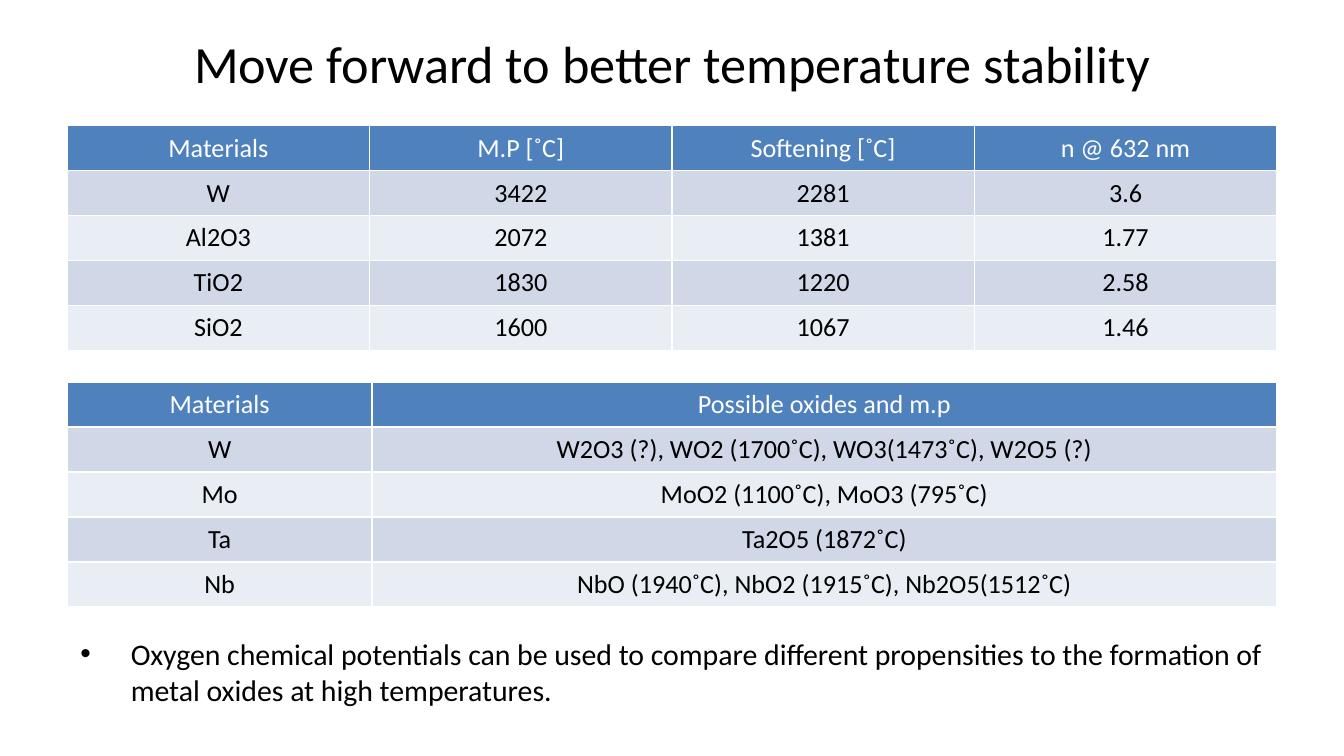
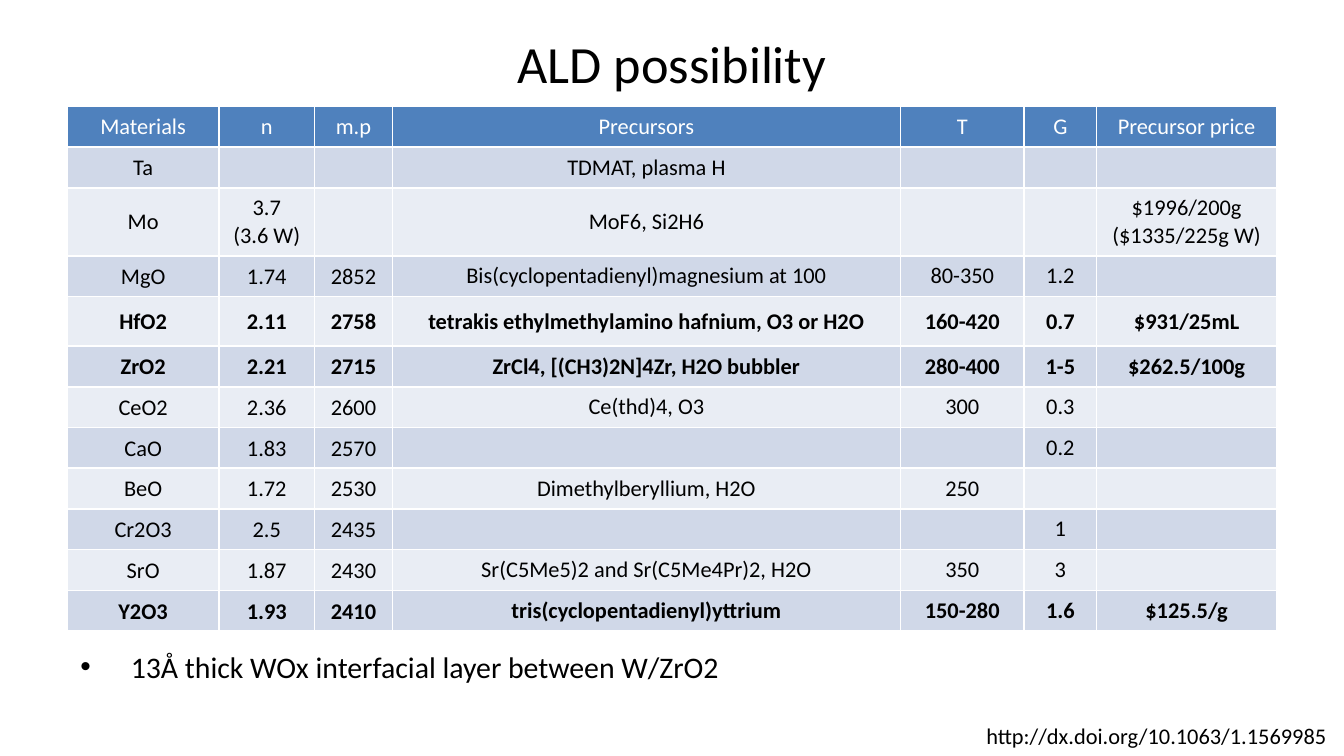
from pptx import Presentation
from pptx.dml.color import RGBColor as RGB
from pptx.enum.text import MSO_ANCHOR as Anchor, MSO_AUTO_SIZE as AutoSize, PP_ALIGN as Align
from pptx.oxml import parse_xml
from pptx.oxml.ns import nsdecls
from pptx.util import Pt

COLORS = {"text": "000000", "header_text": "FFFFFF", "header": "4F81BD",
          "band_dark": "D0D8E8", "band_light": "E9EDF4"}
FONT = "Calibri"
LEFT, WIDTH = 36, 648

MELTING = [
    ["Materials", "M.P [˚C]", "Softening [˚C]", "n @ 632 nm"],
    ["W", "3422", "2281", "3.6"],
    ["Al2O3", "2072", "1381", "1.77"],
    ["TiO2", "1830", "1220", "2.58"],
    ["SiO2", "1600", "1067", "1.46"],
]
OXIDES = [
    ["Materials", "Possible oxides and m.p"],
    ["W", "W2O3 (?), WO2 (1700˚C), WO3(1473˚C), W2O5 (?)"],
    ["Mo", "MoO2 (1100˚C), MoO3 (795˚C)"],
    ["Ta", "Ta2O5 (1872˚C)"],
    ["Nb", "NbO (1940˚C), NbO2 (1915˚C), Nb2O5(1512˚C)"],
]
ALD = [
    ["Materials", "n", "m.p", "Precursors", "T", "G", "Precursor price"],
    ["Ta", "", "", "TDMAT, plasma H", "", "", ""],
    ["Mo", "3.7\n(3.6 W)", "", "MoF6, Si2H6", "", "", "$1996/200g\n($1335/225g W)"],
    ["MgO", "1.74", "2852", "Bis(cyclopentadienyl)magnesium at 100", "80-350", "1.2", ""],
    ["HfO2", "2.11", "2758", "tetrakis ethylmethylamino hafnium, O3 or H2O", "160-420", "0.7",
     "$931/25mL"],
    ["ZrO2", "2.21", "2715", "ZrCl4, [(CH3)2N]4Zr, H2O bubbler", "280-400", "1-5", "$262.5/100g"],
    ["CeO2", "2.36", "2600", "Ce(thd)4, O3", "300", "0.3", ""],
    ["CaO", "1.83", "2570", "", "", "0.2", ""],
    ["BeO", "1.72", "2530", "Dimethylberyllium, H2O", "250", "", ""],
    ["Cr2O3", "2.5", "2435", "", "", "1", ""],
    ["SrO", "1.87", "2430", "Sr(C5Me5)2 and Sr(C5Me4Pr)2, H2O", "350", "3", ""],
    ["Y2O3", "1.93", "2410", "tris(cyclopentadienyl)yttrium", "150-280", "1.6", "$125.5/g"],
]
ALD_BOLD = {"HfO2", "ZrO2", "Y2O3"}


def format_text(tf, size, color="text", bold=False, align=None):
    """Give every paragraph and run of a text frame one look."""
    for p in tf.paragraphs:
        p.alignment = align
        for r in p.runs:
            r.font.name, r.font.size, r.font.bold = FONT, Pt(size), bold
            r.font.color.rgb = RGB.from_string(COLORS[color])
        if not p.runs:
            p._p.get_or_add_endParaRPr().set("sz", str(size * 100))


def add_text(slide, text, box, size, align=None, wrap=True):
    """Add a text box and return its text frame."""
    tf = slide.shapes.add_textbox(*map(Pt, box)).text_frame
    tf.text = text
    tf.word_wrap = wrap
    format_text(tf, size, align=align)
    return tf


def add_title(slide, text):
    """Add the centred slide title."""
    tf = add_text(slide, text, (LEFT, 16.5, WIDTH, 34.5), 28, Align.CENTER)
    tf.vertical_anchor = Anchor.MIDDLE


def add_bullet(slide, text, top, height):
    """Add a bulleted remark below the tables."""
    p = add_text(slide, text, (LEFT, top, WIDTH, height), 16).paragraphs[0]
    p.space_before = Pt(3.2)
    pPr = p._p.get_or_add_pPr()
    pPr.set("marL", str(Pt(27)))
    pPr.set("indent", str(-Pt(27)))
    pPr.append(parse_xml(f'<a:buFont {nsdecls("a")} typeface="Arial"/>'))
    pPr.append(parse_xml(f'<a:buChar {nsdecls("a")} char="•"/>'))


def add_banded_table(slide, rows, top, widths, heights, size, bold=(), anchor=Anchor.TOP):
    """Add a table with a blue header and alternating bands."""
    box = (LEFT, top, sum(widths), sum(heights))
    table = slide.shapes.add_table(len(rows), len(widths), *map(Pt, box)).table
    for column, width in zip(table.columns, widths):
        column.width = Pt(width)
    for i, (row, values) in enumerate(zip(table.rows, rows)):
        row.height = Pt(heights[i])
        fill = "header" if i == 0 else "band_dark" if i % 2 else "band_light"
        for cell, value in zip(row.cells, values):
            cell.fill.solid()
            cell.fill.fore_color.rgb = RGB.from_string(COLORS[fill])
            cell.vertical_anchor = anchor
            cell.text_frame.text = value
            format_text(cell.text_frame, size, "text" if i else "header_text",
                        values[0] in bold, Align.CENTER)
    return table


def build_stability(slide):
    """Build the slide on temperature stability."""
    add_title(slide, "Move forward to better temperature stability")
    heights = [24.1] * 5
    add_banded_table(slide, MELTING, 67.2, [WIDTH / 4] * 4, heights, 14)
    add_banded_table(slide, OXIDES, 204.8, [163.4, WIDTH - 163.4], heights, 14)
    add_bullet(slide, "Oxygen chemical potentials can be used to compare different propensities "
               "to the formation of metal oxides at high temperatures.", 337, 46)


def build_ald(slide):
    """Build the slide on ALD materials and precursors."""
    add_title(slide, "ALD possibility")
    heights = [21.8] * len(ALD)
    heights[2], heights[4] = 36.5, 26.6
    table = add_banded_table(slide, ALD, 57, [81.4, 51.1, 41.8, 272.2, 66.2, 38.9, 96.4],
                             heights, 12, ALD_BOLD, Anchor.MIDDLE)
    for i in range(3, len(ALD)):
        for j in range(3):
            cell = table.cell(i, j)
            cell.margin_left = cell.margin_top = cell.margin_right = Pt(0.75)
            cell.margin_bottom = 0
    add_bullet(slide, "13Å thick WOx interfacial layer between W/ZrO2", 344, 30)
    tf = add_text(slide, "http://dx.doi.org/10.1063/1.1569985", (521.3, 383.2, 198.7, 21.8), 12,
                  wrap=False)
    tf.auto_size = AutoSize.SHAPE_TO_FIT_TEXT


def main():
    """Build and save the presentation."""
    prs = Presentation()
    prs.slide_width, prs.slide_height = Pt(720), Pt(405)
    for build in (build_stability, build_ald):
        build(prs.slides.add_slide(prs.slide_layouts[6]))
    prs.save("out.pptx")


if __name__ == "__main__":
    main()
